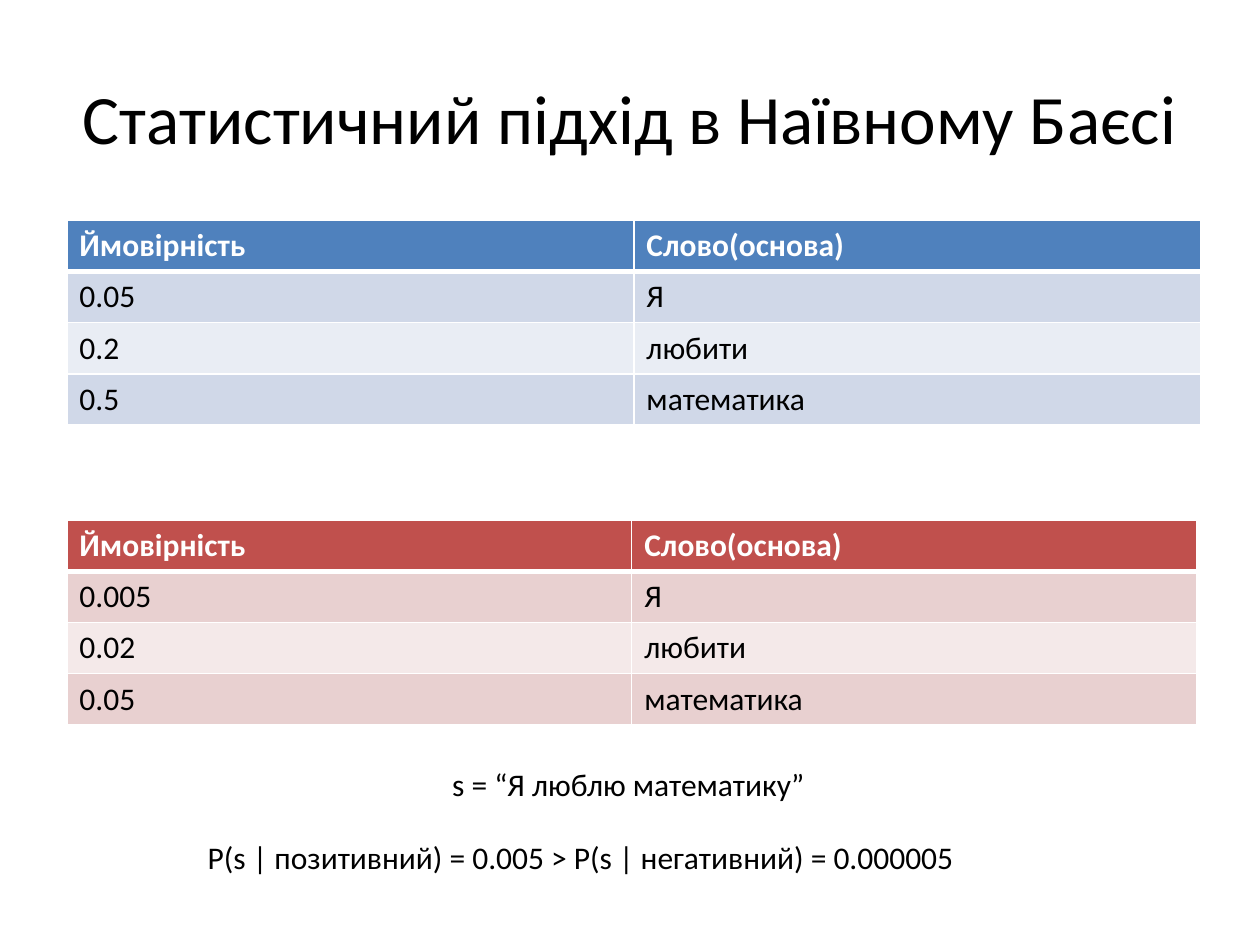
from lxml import etree
from pptx import Presentation
from pptx import util as u
from pptx.dml.color import RGBColor
from pptx.enum import text
from pptx.oxml.ns import qn

TITLE = "Статистичний підхід в Наївному Баєсі"
HEADER = ("Ймовірність", "Слово(основа)")
WORDS = ("Я", "любити", "математика")
COLORS = {"ink": "000000", "white": "FFFFFF"}
TABLES = [
    {"top": 126, "width": 648, "odds": ("0.05", "0.2", "0.5"),
     "head": "4F81BD", "bands": ("D0D8E8", "E9EDF4")},
    {"top": 297.4, "width": 645.6, "odds": ("0.005", "0.02", "0.05"),
     "head": "C0504D", "bands": ("E8D0D0", "F4E9E9")},
]
NOTES = [
    ("P(s | позитивний) = 0.005 > P(s | негативний) = 0.000005", (111.6, 475.2, 499, 29)),
    ("s = “Я люблю математику”", (251.3, 433.4, 219, 29)),
]
TABLE_LEFT, ROW_HEIGHT = 38.2, 29.2


def place(sp, *box):
    for name, value in zip(("left", "top", "width", "height"), box):
        setattr(sp, name, u.Pt(value))


def write(tf, words, color=COLORS["ink"], **font):
    p = tf.paragraphs[0]
    r = p.add_run()
    r.text = words
    r.font.color.rgb = RGBColor.from_string(color)
    for name, value in {"name": "Calibri", "size": u.Pt(18), **font}.items():
        setattr(r.font, name, value)
    return p


def add_borders(cell, row):
    """White rules of 1 pt, with 3 pt between the header and the body."""
    widths = {"lnL": 1, "lnR": 1, "lnT": 3 if row == 1 else 1, "lnB": 3 if row == 0 else 1}
    tc_pr = cell._tc.get_or_add_tcPr()
    for tag, width in widths.items():
        ln = etree.SubElement(tc_pr, qn(f"a:{tag}"), w=str(u.Pt(width)))
        fill = etree.SubElement(ln, qn("a:solidFill"))
        etree.SubElement(fill, qn("a:srgbClr"), val=COLORS["white"])


def add_odds_table(s, top, width, odds, head, bands):
    rows = [HEADER, *zip(odds, WORDS)]
    box = (TABLE_LEFT, top, width, ROW_HEIGHT * len(rows))
    table = s.shapes.add_table(len(rows), len(HEADER), *map(u.Pt, box)).table
    for i, row in enumerate(rows):
        for j, words in enumerate(row):
            cell = table.cell(i, j)
            add_borders(cell, i)
            cell.fill.solid()
            color = bands[(i - 1) % 2] if i else head
            cell.fill.fore_color.rgb = RGBColor.from_string(color)
            write(cell.text_frame, words, COLORS["ink" if i else "white"], bold=i == 0)


prs = Presentation()
prs.slide_width, prs.slide_height = u.Pt(720), u.Pt(540)
s = prs.slides.add_slide(prs.slide_layouts[5])

title = s.shapes.title
place(title, 36, 21.6, 648, 90)
title.text_frame.vertical_anchor = text.MSO_ANCHOR.MIDDLE
write(title.text_frame, TITLE, size=u.Pt(39.6)).alignment = text.PP_ALIGN.CENTER

for spec_of_table in TABLES:
    add_odds_table(s, **spec_of_table)

for words, box in NOTES:
    tf = s.shapes.add_textbox(*map(u.Pt, box)).text_frame
    tf.word_wrap = True
    tf.auto_size = text.MSO_AUTO_SIZE.SHAPE_TO_FIT_TEXT
    write(tf, words)

prs.save("out.pptx")
